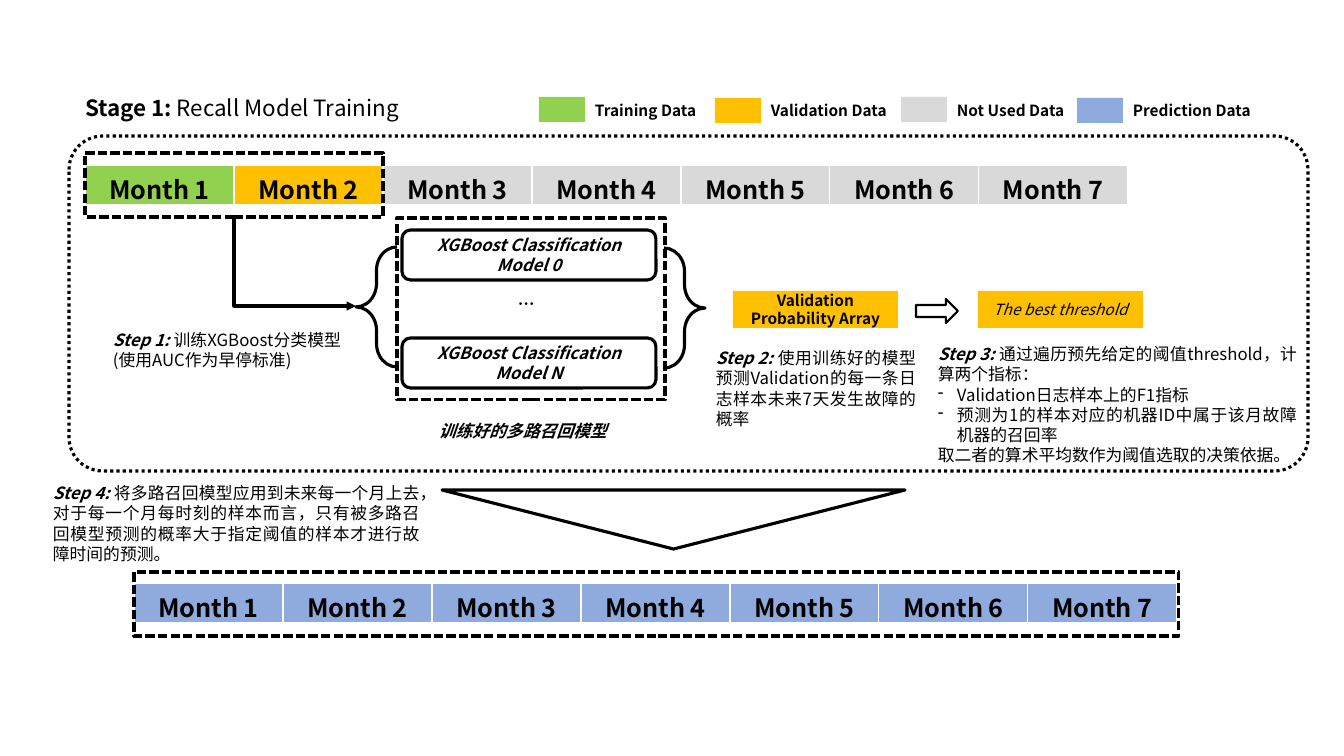
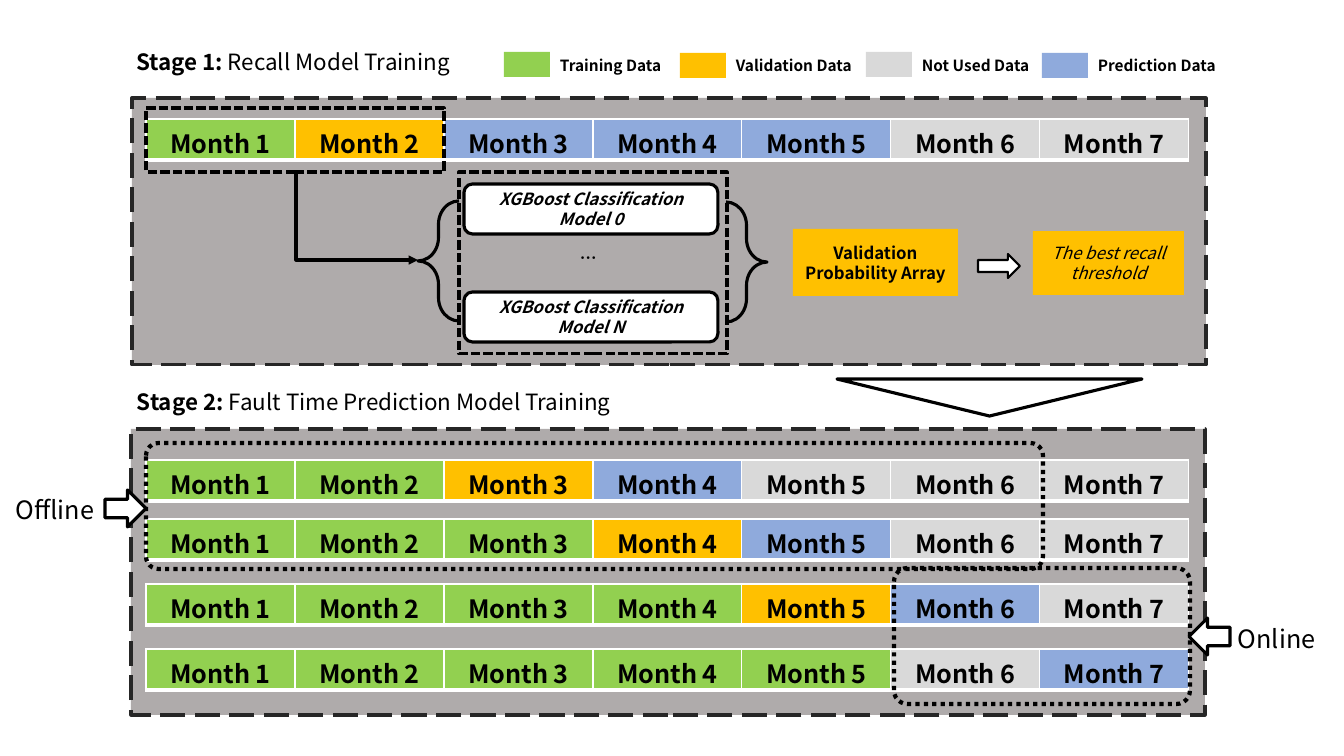
from lxml.etree import SubElement
from pptx import Presentation
from pptx.dml.color import RGBColor
from pptx.enum.dml import MSO_LINE as Dash
from pptx.enum.shapes import MSO_CONNECTOR as Conn, MSO_SHAPE as Geom
from pptx.enum.text import MSO_ANCHOR as Anchor, MSO_AUTO_SIZE as Auto, PP_ALIGN as Align
from pptx.oxml.ns import qn
from pptx.util import Pt

# Shared look
FONT = "Noto Sans CJK SC"
BLACK = RGBColor(0, 0, 0)
WHITE = RGBColor(255, 255, 255)
GREEN = RGBColor(0x92, 0xD0, 0x50)
AMBER = RGBColor(0xFF, 0xC0, 0x00)
PALE = RGBColor(0xD9, 0xD9, 0xD9)
BLUE = RGBColor(0x8F, 0xAA, 0xDC)
GREY = RGBColor(0xAF, 0xAB, 0xAB)
DARK = RGBColor(0x26, 0x26, 0x26)
WIDE, HIGH = 1344, 756
SCALE = 12192000 / WIDE
COL, ROW, GAP = 149, 41, 19

# Shared content: T training, V validation, N not used, P prediction
HUES = {"T": GREEN, "V": AMBER, "N": PALE, "P": BLUE}
LEGEND = [("Training Data", "T", 0), ("Validation Data", "V", 176),
          ("Not Used Data", "N", 362), ("Prediction Data", "P", 538)]
STAGE = ("Stage 1: ", "Recall Model Training")
ARRAY = "Validation Probability Array"
MODELS = [("XGBoost Classification Model 0", 12), ("XGBoost Classification Model N", 120)]

# Content of the recall slide
STEPS = [
    ((103, 325, 248, 50), [("Step 1: ", "训练XGBoost分类模型(使用AUC作为早停标准)")]),
    ((706, 343, 220, 92), [("Step 2: ", "使用训练好的模型预测Validation的每一条日志样本未来7天发生故障的概率")]),
    ((928, 339, 379, 132), [
        ("Step 3: ", "通过遍历预先给定的阈值threshold，计算两个指标："),
        ("-", "Validation日志样本上的F1指标"),
        ("-", "预测为1的样本对应的机器ID中属于该月故障机器的召回率"),
        ("", "取二者的算术平均数作为阈值选取的决策依据。")]),
    ((43, 478, 387, 92), [("Step 4: ", "将多路召回模型应用到未来每一个月上去，对于每一个月每时刻的样本而言，"
                           "只有被多路召回模型预测的概率大于指定阈值的样本才进行故障时间的预测。")]),
]

# Content of the two-stage slide
PANELS = [(132, 98, 1074, 267), (131, 429, 1074, 286)]
PLANS = [(119, "TVPPPNN"), (460, "TTVPNNN"), (519, "TTTVPNN"),
         (584, "TTTTVPN"), (649, "TTTTTNP")]
SPANS = [(146, 443, 897, 126), (894, 568, 296, 136)]
MODES = [("Offline", (6, 489, 103, 40), (105, 490, 41, 37), 0),
         ("Online", (1228, 618, 101, 40), (1189, 618, 41, 37), 180)]


def emu(*vals):
    return [round(v * SCALE) for v in vals]


def style(run, size, bold=False, ital=False):
    font = run.font
    font.name, font.size, font.bold, font.italic = FONT, Pt(size), bold, ital
    font.color.rgb = BLACK
    SubElement(run._r.get_or_add_rPr(), qn("a:ea"), typeface=FONT)


def write(frame, text, size, bold=False, ital=False, align=Align.LEFT):
    frame.text = text
    para = frame.paragraphs[0]
    para.alignment = align
    style(para.runs[0], size, bold, ital)


def shape(page, geom, box, fill=None, line=None, width=2.25, dash=None, adj=(), turn=0):
    item = page.shapes.add_shape(geom, *emu(*box))
    item.shadow.inherit = False
    item.rotation = turn
    for i, val in enumerate(adj):
        item.adjustments[i] = val
    if fill is None:
        item.fill.background()
    else:
        item.fill.solid()
        item.fill.fore_color.rgb = fill
    if line is None:
        item.line.fill.background()
    else:
        item.line.color.rgb = line
        item.line.width = Pt(width)
        if dash is not None:
            item.line.dash_style = dash
    return item


def label(item, text, size, bold=False, ital=False):
    item.text_frame.word_wrap = True
    item.text_frame.vertical_anchor = Anchor.MIDDLE
    write(item.text_frame, text, size, bold, ital, Align.CENTER)


def blank(page, box, wrap=True):
    frame = page.shapes.add_textbox(*emu(*box)).text_frame
    frame.word_wrap = wrap
    frame.auto_size = Auto.SHAPE_TO_FIT_TEXT
    return frame


def head(frame, lead, rest):
    write(frame, lead, 16, True)
    run = frame.paragraphs[0].add_run()
    run.text = rest
    style(run, 16)


def start(x, y):
    page = deck.slides.add_slide(deck.slide_layouts[5])
    title = page.shapes.title
    title.left, title.top, title.width, title.height = emu(x, y, 386, 37)
    title.text_frame.vertical_anchor = Anchor.TOP
    title.text_frame.auto_size = Auto.NONE
    head(title.text_frame, *STAGE)
    return page


def legend(page, x, y):
    for i, (name, key, dx) in enumerate(LEGEND):
        shape(page, Geom.RECTANGLE, (x + dx, y + i % 2, 46, 25), HUES[key])
        write(blank(page, (x + dx + 46, y - 1, 149, 29)), name, 11, True)


def months(page, x, y, keys, tight=True):
    table = page.shapes.add_table(1, len(keys), *emu(x, y, COL * len(keys), ROW)).table
    for i, key in enumerate(keys):
        table.columns[i].width = emu(COL)[0]
        cell = table.cell(0, i)
        if tight:
            cell.margin_bottom = 0
        # White borders, thick below
        for side, pts in (("L", 1), ("R", 1), ("T", 1), ("B", 3)):
            edge = SubElement(cell._tc.get_or_add_tcPr(), qn("a:ln" + side), w=str(Pt(pts)))
            SubElement(SubElement(edge, qn("a:solidFill")), qn("a:srgbClr"), val=str(WHITE))
        cell.fill.solid()
        cell.fill.fore_color.rgb = HUES[key]
        write(cell.text_frame, f"Month {i + 1}", 18, True, align=Align.CENTER)


def dashed(page, box):
    shape(page, Geom.RECTANGLE, box, line=BLACK, dash=Dash.SQUARE_DOT)


def dotted(page, box, width, adj):
    shape(page, Geom.ROUNDED_RECTANGLE, box, None, BLACK, width, Dash.ROUND_DOT, [adj])


def elbow(page, x, y, dx, dy):
    # Down then right: a quarter-turned, mirrored bend about the same centre
    left, top = x + (dx - dy) / 2, y + (dy - dx) / 2
    link = page.shapes.add_connector(Conn.ELBOW, *emu(left, top, left + dy, top + dx))
    link.line.color.rgb = BLACK
    link.line.width = Pt(2.25)
    props = link._element.spPr
    props.find(qn("a:prstGeom")).set("prst", "bentConnector2")
    bend = props.find(qn("a:xfrm"))
    bend.set("rot", "16200000")
    bend.set("flipH", "1")
    SubElement(props.find(qn("a:ln")), qn("a:tailEnd"), type="triangle")
    SubElement(props, qn("a:effectLst"))


def models(page, x, y):
    for name, dy in MODELS:
        item = shape(page, Geom.ROUNDED_RECTANGLE, (x + 5, y + dy, 254, 50),
                     WHITE, BLACK, adj=[0.17])
        label(item, name, 12, True, True)
    write(blank(page, (x + 111, y + 71, 52, 30)), "…", 12, True)
    for dx, dy, turn in ((-41, 29, 0), (267, 30, 180)):
        shape(page, Geom.LEFT_BRACE, (x + dx, y + dy, 41, 120), line=BLACK,
              adj=[0.57, 0.5], turn=turn)
    elbow(page, x - 163, y - 1, 122, 89)
    dashed(page, (x, y, 268, 182))


def result(page, left, right, arrow, best, size):
    label(shape(page, Geom.RECTANGLE, left, AMBER), ARRAY, size, True)
    label(shape(page, Geom.RECTANGLE, right, AMBER), best, size, ital=True)
    shape(page, Geom.RIGHT_ARROW, arrow, WHITE, BLACK, 1.5)


def funnel(page, box):
    shape(page, Geom.ISOSCELES_TRIANGLE, box, line=BLACK, turn=180)


def step(page, box, lines):
    frame = blank(page, box)
    for i, (lead, rest) in enumerate(lines):
        para = frame.add_paragraph() if i else frame.paragraphs[0]
        para.alignment = Align.JUSTIFY
        if lead == "-":
            props = para._p.get_or_add_pPr()
            props.set("marL", str(emu(GAP)[0]))
            props.set("indent", str(-emu(GAP)[0]))
            SubElement(props, qn("a:buChar"), char=lead)
        elif lead:
            para.text = lead
            style(para.runs[0], 12, True, True)
        run = para.add_run()
        run.text = rest
        style(run, 12)


deck = Presentation()
deck.slide_width, deck.slide_height = emu(WIDE, HIGH)

# Recall slide
page = start(75, 89)
legend(page, 539, 97)
months(page, 85, 165, "TVNNNNN", tight=False)
dashed(page, (85, 153, 298, 64))
months(page, 134, 583, "PPPPPPP")
dashed(page, (134, 572, 1045, 64))
models(page, 397, 218)
result(page, (733, 291, 165, 37), (978, 291, 165, 37), (916, 299, 42, 24),
       "The best threshold", 11)
for box, lines in STEPS:
    step(page, box, lines)
write(blank(page, (429, 416, 210, 30)), "训练好的多路召回模型", 12, True, True, Align.JUSTIFY)
dotted(page, (69, 136, 1239, 335), 2.25, 0.1)
funnel(page, (442, 490, 463, 59))

# Two-stage slide
page = start(126, 43)
for box in PANELS:
    shape(page, Geom.RECTANGLE, box, GREY, DARK, dash=Dash.LONG_DASH)
head(blank(page, (127, 383, 519, 37)), "Stage 2: ", "Fault Time Prediction Model Training")
legend(page, 504, 52)
models(page, 459, 172)
result(page, (793, 229, 165, 67), (1033, 231, 151, 64), (978, 254, 42, 24),
       "The best recall threshold", 12)
for y, keys in PLANS:
    months(page, 146, y, keys)
dashed(page, (146, 108, 298, 64))
for box in SPANS:
    dotted(page, box, 3, 0.1)
funnel(page, (837, 379, 305, 37))
for name, box, arrow, turn in MODES:
    write(blank(page, box, wrap=False), name, 18)
    shape(page, Geom.RIGHT_ARROW, arrow, WHITE, BLACK, turn=turn)

deck.save("out.pptx")
